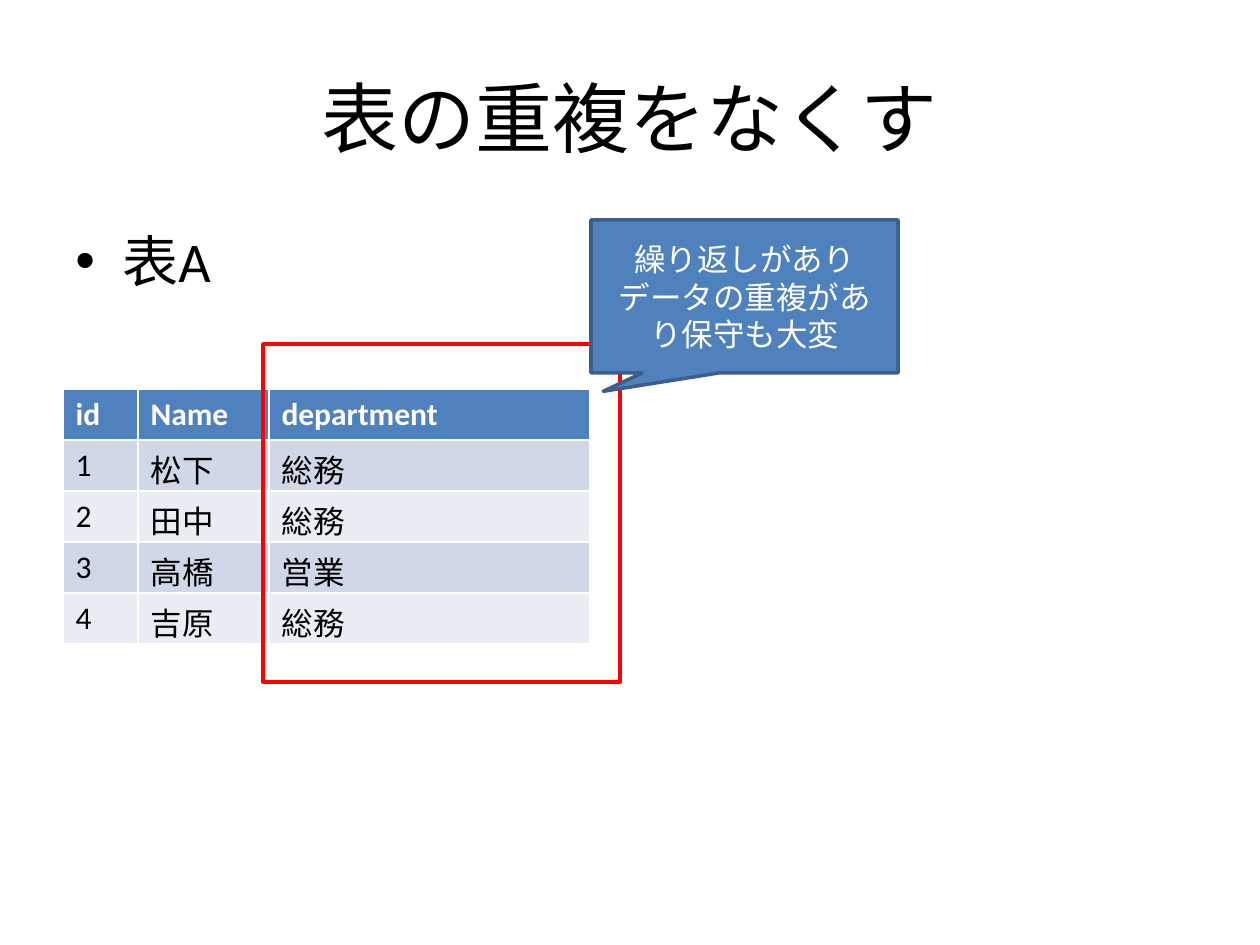
from pptx import Presentation
from pptx.dml.color import RGBColor as RGB
from pptx.enum.shapes import MSO_SHAPE as Kind
from pptx.enum.text import MSO_ANCHOR as Anchor, PP_ALIGN as Align
from pptx.oxml import parse_xml
from pptx.oxml.ns import nsdecls
from pptx.util import Pt

SCALE = 914400 / 126


def px(*vals):
    """Turn pixel lengths into EMU."""
    return [round(v * SCALE) for v in vals]


def write(para, text, size, color, bold=False):
    run = para.add_run()
    run.text = text
    font = run.font
    font.name, font.size, font.bold = "Calibri", Pt(size), bold
    font.color.rgb = RGB.from_string(color)


deck = Presentation()
deck.slide_width, deck.slide_height = px(1260, 945)
slide = deck.slides.add_slide(deck.slide_layouts[6])
shapes = slide.shapes

# Title
frame = shapes.add_textbox(*px(63, 38, 1134, 157)).text_frame
frame.word_wrap = True
frame.vertical_anchor = Anchor.MIDDLE
para = frame.paragraphs[0]
para.alignment = Align.CENTER
write(para, "表の重複をなくす", 44, "000000")

# Bullet
frame = shapes.add_textbox(*px(63, 220, 1134, 83)).text_frame
frame.word_wrap = True
para = frame.paragraphs[0]
write(para, "表A", 32, "000000")
props = para._p.get_or_add_pPr()
indent = px(47)[0]
props.set("marL", str(indent))
props.set("indent", str(-indent))
for tag in (
    '<a:spcBef {}><a:spcPct val="20000"/></a:spcBef>',
    '<a:buFont {} typeface="Arial"/>',
    '<a:buChar {} char="•"/>',
):
    props.append(parse_xml(tag.format(nsdecls("a"))))

# Table: the default style draws the white borders
rows = [
    ("id", "Name", "department"),
    ("1", "松下", "総務"),
    ("2", "田中", "総務"),
    ("3", "高橋", "営業"),
    ("4", "吉原", "総務"),
]
widths = px(75, 131, 321)
table = shapes.add_table(len(rows), len(widths), *px(63, 389, 527, 255)).table
for col, width in zip(table.columns, widths):
    col.width = width
for r, row in enumerate(rows):
    head = r == 0
    fill = "4F81BD" if head else ("E9EDF4", "D0D8E8")[r % 2]
    for c, text in enumerate(row):
        cell = table.cell(r, c)
        cell.fill.solid()
        cell.fill.fore_color.rgb = RGB.from_string(fill)
        color = "FFFFFF" if head else "000000"
        write(cell.text_frame.paragraphs[0], text, 18, color, head)

# Frame around the repeated column
box = shapes.add_shape(Kind.RECTANGLE, *px(263, 344, 357, 338))
box.shadow.inherit = False
box.fill.background()
box.line.color.rgb = RGB.from_string("FF0000")
box.line.width = Pt(2)

# Callout
note = shapes.add_shape(Kind.RECTANGULAR_CALLOUT, *px(591, 220, 307, 153))
note.adjustments[0], note.adjustments[1] = -0.46, 0.62
note.shadow.inherit = False
note.fill.solid()
note.fill.fore_color.rgb = RGB.from_string("4F81BD")
note.line.color.rgb = RGB.from_string("3A5F8C")
note.line.width = Pt(2)
frame = note.text_frame
frame.word_wrap = True
frame.vertical_anchor = Anchor.MIDDLE
para = frame.paragraphs[0]
para.alignment = Align.CENTER
write(para, "繰り返しがありデータの重複があり保守も大変", 18, "FFFFFF")

deck.save("out.pptx")
